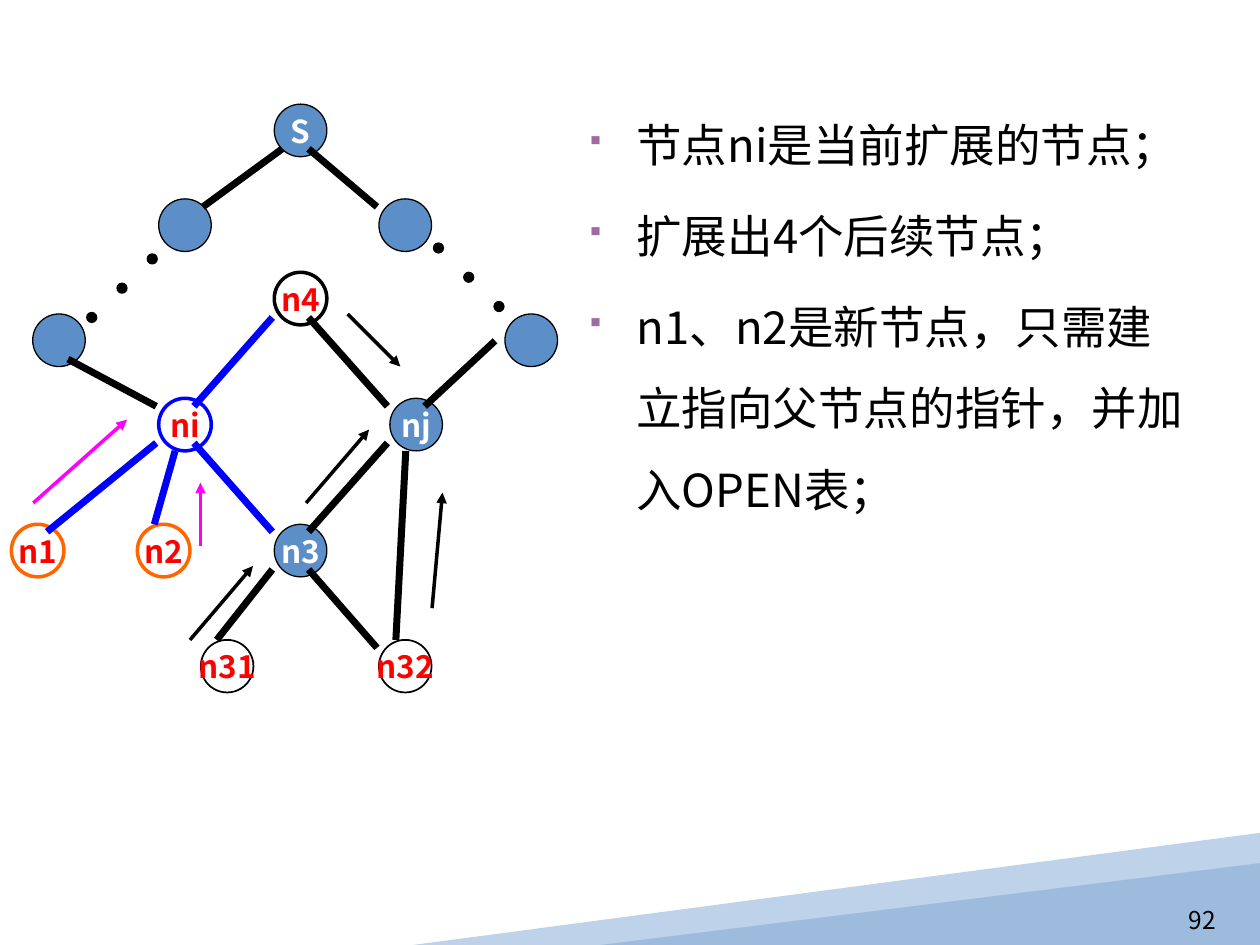
from lxml.etree import SubElement
from pptx import Presentation
from pptx.dml.color import RGBColor
from pptx.enum.shapes import MSO_CONNECTOR as Link, MSO_SHAPE as Shape
from pptx.enum.text import MSO_ANCHOR as Anchor, PP_ALIGN as Align
from pptx.oxml.ns import qn
from pptx.util import Cm, Pt

FONT = "Noto Sans CJK SC"
COLORS = {
    "black": "000000", "white": "FFFFFF", "red": "FF0000", "blue": "0000FF",
    "orange": "FF6600", "magenta": "FF00FF", "steel": "5C8FC7",
    "pale": "BED2E9", "sky": "9DBCDD", "bullet": "9F69A3",
}
NODE, DOT = 1.06, 0.2

NODES = [
    (5.53, 2.1, "S", "steel", "black", 0.75),
    (0.66, 6.33, "", "steel", "black", 0.75),
    (3.2, 4.01, "", "steel", "black", 0.75),
    (7.64, 4.01, "", "steel", "black", 0.75),
    (5.53, 5.49, "n4", None, "black", 2),
    (10.18, 6.33, "", "steel", "black", 0.75),
    (3.2, 8.03, "ni", None, "blue", 2),
    (7.86, 8.03, "nj", "steel", "black", 0.75),
    (0.23, 10.57, "n1", None, "orange", 2),
    (2.77, 10.57, "n2", None, "orange", 2),
    (5.53, 10.57, "n3", "steel", "black", 0.75),
    (4.05, 12.9, "n31", None, "black", 1),
    (7.64, 12.9, "n32", None, "black", 1),
]
DOT_RUNS = [(1.75, 6.3, -0.59), (8.74, 4.9, 0.59)]
EDGES = {
    "black": [
        (5.69, 3.0, 4.09, 4.17), (6.22, 3.0, 7.6, 4.17),
        (1.37, 7.24, 3.15, 8.19), (6.22, 6.4, 7.81, 8.19),
        (9.98, 6.87, 8.56, 8.19), (6.22, 10.72, 7.81, 8.93),
        (4.37, 12.9, 5.49, 11.48), (7.6, 13.06, 6.22, 11.48),
        (7.98, 12.9, 8.18, 9.09),
    ],
    "blue": [
        (5.49, 6.4, 3.91, 8.19), (0.95, 10.72, 3.15, 8.93),
        (3.11, 10.57, 3.53, 9.09), (5.49, 10.72, 3.91, 8.93),
    ],
}
ARROWS = {
    "magenta": [(0.67, 10.14, 2.56, 8.46), (4.04, 11.0, 4.04, 9.73)],
    "black": [
        (7.01, 6.33, 8.07, 7.39), (6.17, 10.14, 7.44, 8.66),
        (3.83, 12.9, 5.1, 11.41), (8.71, 12.26, 8.92, 9.93),
    ],
}
NOTES = [
    "节点ni是当前扩展的节点；",
    "扩展出4个后续节点；",
    "n1、n2是新节点，只需建立指向父节点的指针，并加入OPEN表；",
]


class SlidePainter:
    """Draws styled elements on the current page, with lengths in centimetres."""

    def __init__(self, page):
        self.page = page

    def color(self, name):
        return RGBColor.from_string(COLORS[name])

    def paint(self, shape, fill, outline=None, width=0.75):
        shape.shadow.inherit = False
        if fill:
            shape.fill.solid()
            shape.fill.fore_color.rgb = self.color(fill)
        else:
            shape.fill.background()
        if outline:
            shape.line.color.rgb = self.color(outline)
            shape.line.width = Pt(width)
        else:
            shape.line.fill.background()

    def style(self, para, size, color, bold=False):
        for span in para.runs:
            span.font.name = FONT
            span.font.size = Pt(size)
            span.font.bold = bold
            span.font.color.rgb = self.color(color)
            SubElement(span.font._element, qn("a:ea"), typeface=FONT)

    def shape(self, kind, left, top, width, height, fill, outline=None, weight=0.75):
        shape = self.page.shapes.add_shape(kind, Cm(left), Cm(top), Cm(width), Cm(height))
        self.paint(shape, fill, outline, weight)
        return shape

    def polygon(self, points, fill):
        corners = [(Cm(x), Cm(y)) for x, y in points]
        builder = self.page.shapes.build_freeform(*corners[0])
        builder.add_line_segments(corners[1:], close=True)
        self.paint(builder.convert_to_shape(), fill)

    def node(self, left, top, label, fill, outline, weight):
        circle = self.shape(Shape.OVAL, left, top, NODE, NODE, fill, outline, weight)
        if label:
            frame = circle.text_frame
            frame.text = label
            frame.word_wrap = False
            frame.vertical_anchor = Anchor.MIDDLE
            para = frame.paragraphs[0]
            para.alignment = Align.CENTER
            self.style(para, 18, "white" if fill else "red", bold=True)

    def dots(self, left, top, rise):
        for step in range(3):
            self.shape(Shape.OVAL, left + 0.61 * step, top + rise * step,
                       DOT, DOT, "black", "black")

    def line(self, ends, color, width, arrow=False):
        line = self.page.shapes.add_connector(Link.STRAIGHT, *(Cm(end) for end in ends))
        line.line.color.rgb = self.color(color)
        line.line.width = Pt(width)
        if arrow:
            SubElement(line.line._get_or_add_ln(), qn("a:tailEnd"), type="triangle")
        SubElement(line._element.spPr, qn("a:effectLst"))

    def text_box(self, left, top, width, height):
        box = self.page.shapes.add_textbox(Cm(left), Cm(top), Cm(width), Cm(height))
        box.text_frame.word_wrap = True
        return box.text_frame

    def bullets(self, frame, texts):
        for index, text in enumerate(texts):
            para = frame.add_paragraph() if index else frame.paragraphs[0]
            para.text = text
            para.line_spacing = 1.5
            if index:
                para.space_before = Pt(5.2)
            props = para._element.get_or_add_pPr()
            props.set("marL", str(Cm(0.95)))
            props.set("indent", str(-Cm(0.95)))
            tint = SubElement(props, qn("a:buClr"))
            SubElement(tint, qn("a:srgbClr"), val=COLORS["bullet"])
            SubElement(props, qn("a:buSzPct"), val="60000")
            SubElement(props, qn("a:buFont"), typeface="Wingdings", charset="2")
            SubElement(props, qn("a:buChar"), char="§")
            self.style(para, 26, "black")

    def page_number(self, number):
        frame = self.text_box(19.25, 17.98, 5.51, 0.99)
        frame.text = number
        frame.vertical_anchor = Anchor.BOTTOM
        frame.paragraphs[0].alignment = Align.RIGHT
        self.style(frame.paragraphs[0], 14, "black")


def main():
    deck = Presentation()
    deck.slide_width, deck.slide_height = Cm(25.4), Cm(19.05)
    painter = SlidePainter(deck.slides.add_slide(deck.slide_layouts[6]))

    painter.polygon([(25.4, 16.79), (25.4, 18.9), (17.09, 19.05), (8.33, 19.05)], "pale")
    wedge = painter.shape(Shape.ISOSCELES_TRIANGLE, 12.11, 17.4, 13.29, 1.65, "sky")
    wedge.adjustments[0] = 1
    painter.page_number("92")

    for node in NODES:
        painter.node(*node)
    for run in DOT_RUNS:
        painter.dots(*run)
    for color, edges in EDGES.items():
        for ends in edges:
            painter.line(ends, color, 4)
    painter.bullets(painter.text_box(11.63, 1.68, 12.75, 11.86), NOTES)
    for color, arrows in ARROWS.items():
        for ends in arrows:
            painter.line(ends, color, 2, arrow=True)

    deck.save("out.pptx")


if __name__ == "__main__":
    main()
